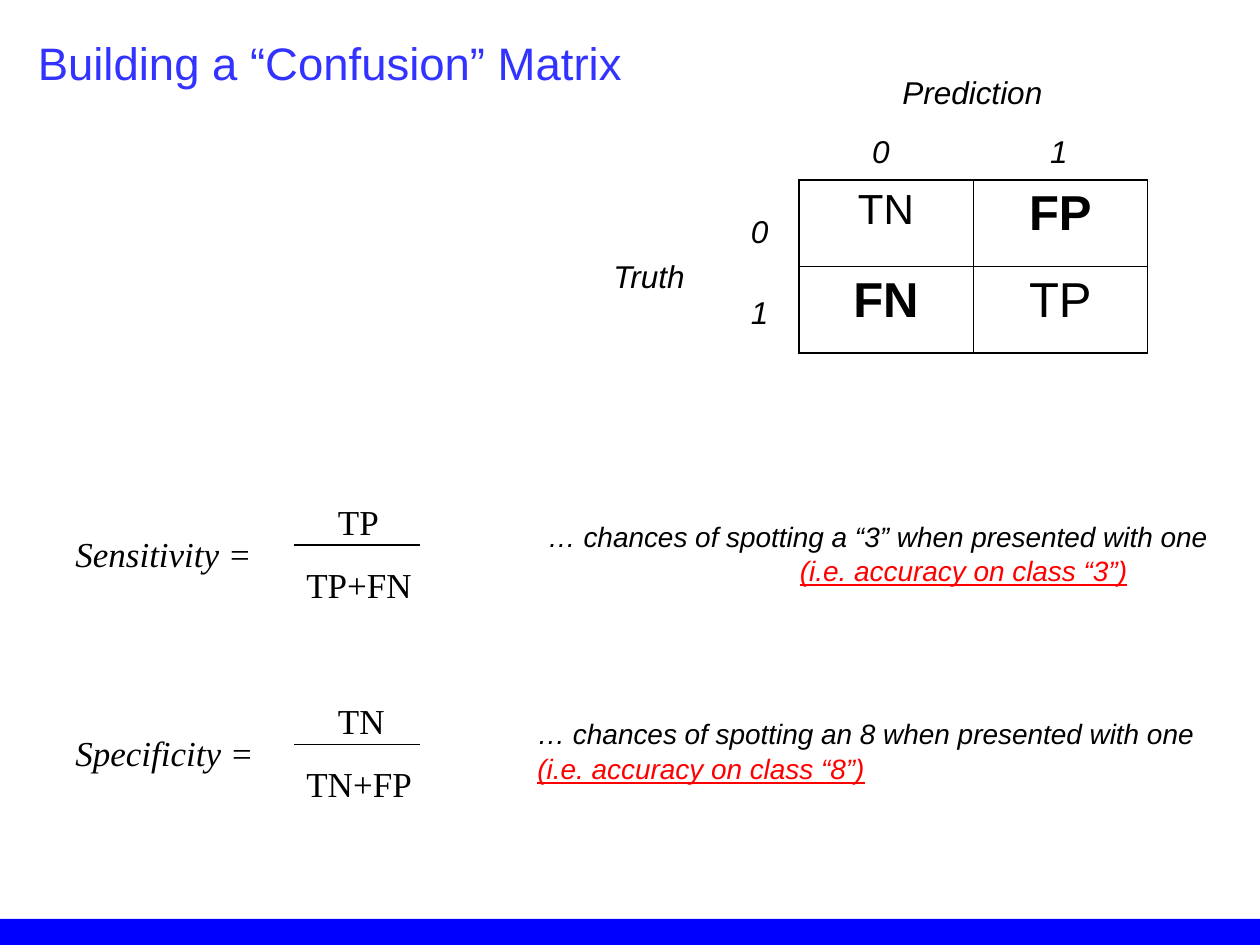
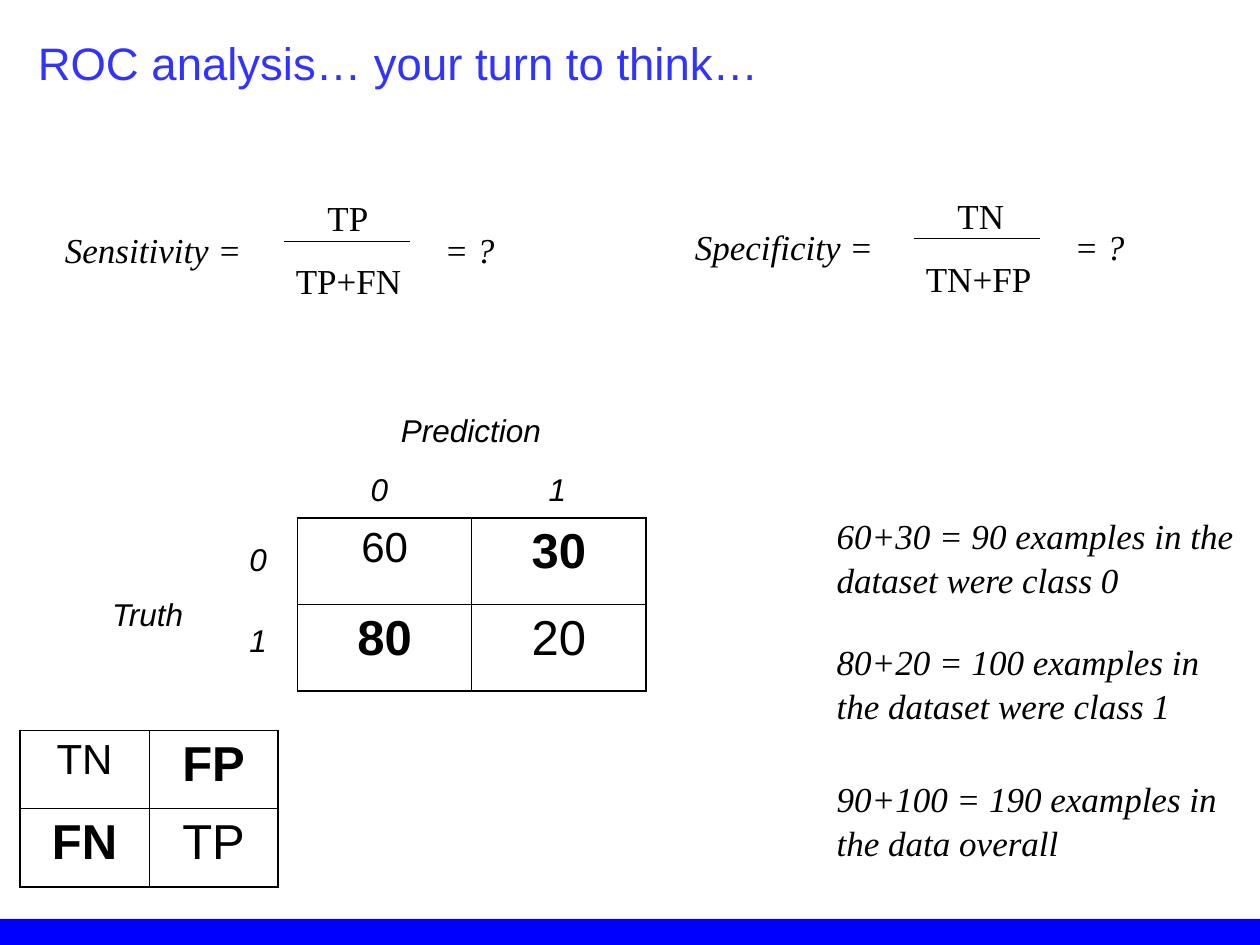
from lxml import etree
from pptx import Presentation
from pptx.dml.color import RGBColor
from pptx.enum import shapes, text
from pptx.oxml import ns
from pptx.util import Pt

BLACK = RGBColor(0, 0, 0)
RED = RGBColor(255, 0, 0)
BAND_BLUE = RGBColor(0, 0, 255)
TITLE_BLUE = RGBColor(0x33, 0x33, 0xFF)
SANS = "Arial"
SERIF = "Times New Roman"
OUTCOMES = (("TN", "FP"), ("FN", "TP"))


class SlideBuilder:
    line_spacing = 1.04
    outer_border = 1.08
    inner_border = 0.45

    def __init__(self):
        self.deck = Presentation()
        self.deck.slide_width = Pt(720)
        self.deck.slide_height = Pt(540)
        self.layout = self.deck.slide_layouts[5]
        self.page = None

    def start(self, title):
        first = self.page is None
        self.page = self.deck.slides.add_slide(self.layout)
        if first:
            self.band()
        box = self.page.shapes.title
        box.left, box.top, box.width, box.height = Pt(14.4), Pt(15), Pt(666), Pt(39)
        frame = self.prepare(box, True)
        self.first_span(frame.paragraphs[0], title, 26, SANS, TITLE_BLUE)

    def band(self):
        band = self.page.shapes.add_shape(
            shapes.MSO_SHAPE.RECTANGLE, Pt(0), Pt(525), Pt(720), Pt(15))
        band.shadow.inherit = False
        band.fill.solid()
        band.fill.fore_color.rgb = BAND_BLUE
        band.line.fill.background()
        self.layout.shapes.element.append(band.element)

    def prepare(self, box, wrap):
        frame = box.text_frame
        frame.word_wrap = wrap
        frame.auto_size = text.MSO_AUTO_SIZE.NONE
        frame.vertical_anchor = text.MSO_ANCHOR.TOP
        return frame

    def first_span(self, para, words, size, font, color=BLACK, **style):
        para.line_spacing = self.line_spacing
        para.alignment = text.PP_ALIGN.LEFT
        self.span(para, words, size, font, color, **style)

    def span(self, para, words, size, font, color=BLACK,
             italic=False, bold=False, underline=False):
        span = para.add_run()
        span.text = words
        span.font.size = Pt(size)
        span.font.name = font
        span.font.color.rgb = color
        span.font.italic = italic
        span.font.bold = bold
        span.font.underline = underline

    def tab_stop(self, para, position):
        stops = etree.SubElement(para._p.get_or_add_pPr(), ns.qn("a:tabLst"))
        etree.SubElement(stops, ns.qn("a:tab"), pos=str(Pt(position)), algn="l")

    def text_box(self, left, top, width, height, words, size=20, font=SERIF,
                 italic=True, wrap=True, tab=None):
        box = self.page.shapes.add_textbox(Pt(left), Pt(top), Pt(width), Pt(height))
        para = self.prepare(box, wrap).paragraphs[0]
        self.first_span(para, words, size, font, italic=italic)
        if tab:
            self.tab_stop(para, tab)
        return box

    def label(self, left, top, width, words, **options):
        return self.text_box(left, top, width, 29, words, 18, SANS, **options)

    def fraction(self, left, top, width, name, numerator, denominator):
        self.text_box(left, top, width, 32, name, tab=217)
        self.text_box(left + 150, top - 18, 60, 32, numerator, italic=False)
        bar = self.page.shapes.add_connector(
            shapes.MSO_CONNECTOR.STRAIGHT,
            Pt(left + 132), Pt(top + 12), Pt(left + 204), Pt(top + 12))
        bar.line.color.rgb = BLACK
        bar.line.width = Pt(0.75)
        etree.SubElement(bar._element.spPr, ns.qn("a:effectLst"))
        self.text_box(left + 132, top + 18, 75, 32, denominator,
                      italic=False, wrap=False)

    def note(self, left, top, width, words, remark, tab=None):
        box = self.text_box(left, top, width, 46, words, 16, SANS, tab=tab)
        para = box.text_frame.paragraphs[0]
        para.add_line_break()
        if tab:
            self.span(para, "\t", 16, SANS)
        self.span(para, remark, 16, SANS, RED, italic=True, underline=True)

    def border(self, cell, side, width):
        line = etree.SubElement(cell._tc.get_or_add_tcPr(), ns.qn("a:ln" + side),
                                w=str(Pt(width)))
        fill = etree.SubElement(line, ns.qn("a:solidFill"))
        etree.SubElement(fill, ns.qn("a:srgbClr"), val=str(BLACK))

    def matrix(self, left, top, cell_width, cell_height, values):
        table = self.page.shapes.add_table(
            2, 2, Pt(left), Pt(top), Pt(2 * cell_width), Pt(2 * cell_height)).table
        table.first_row = table.horz_banding = False
        for r, row in enumerate(values):
            table.rows[r].height = Pt(cell_height)
            table.columns[r].width = Pt(cell_width)
            for c, value in enumerate(row):
                cell = table.cell(r, c)
                outer_sides = "LR"[c] + "TB"[r]
                for side in "LRTB":
                    outer = side in outer_sides
                    self.border(cell, side, self.outer_border if outer else self.inner_border)
                cell.fill.background()
                para = cell.text_frame.paragraphs[0]
                para.alignment = text.PP_ALIGN.CENTER
                self.span(para, value, 24 if r == c == 0 else 28, SANS, bold=r != c)

    def labelled_matrix(self, left, top, values, row_label_offset):
        self.matrix(left, top, 99.6, 49.4, values)
        self.label(left - 113, top + 39.6, 56, "Truth", wrap=False)
        self.label(left + 52, top - 65.5, 94.3, "Prediction", wrap=False)
        self.label(left + 34.75, top - 31.7, 130, "0\t1", tab=101.7)
        rows = self.text_box(left - 34.5, top + row_label_offset, 24.5, 75, "0",
                             18, SANS, wrap=False)
        para = rows.text_frame.add_paragraph()
        self.first_span(para, "1", 18, SANS, italic=True)
        para.space_before = Pt(24)


def main():
    builder = SlideBuilder()

    builder.start("Building a “Confusion” Matrix")
    builder.labelled_matrix(456.5, 103, OUTCOMES, 13.6)
    builder.fraction(36, 299.5, 222, "Sensitivity =", "TP", "TP+FN")
    builder.fraction(36, 413.5, 222, "Specificity =", "TN", "TN+FP")
    builder.note(306, 292.3, 395, "… chances of spotting a “3” when presented with one",
                 "(i.e. accuracy on class “3”)", tab=144)
    builder.note(300, 405.4, 406, "… chances of spotting an 8 when presented with one",
                 "(i.e. accuracy on class “8”)")

    builder.start("ROC analysis… your turn to think…")
    builder.fraction(30, 126, 264, "Sensitivity =\t= ?", "TP", "TP+FN")
    builder.fraction(390, 124.5, 282, "Specificity =\t= ?", "TN", "TN+FP")
    for top, count in (
        (289.5, "60+30 = 90 examples in the dataset were class 0"),
        (361.5, "80+20 = 100 examples in the dataset were class 1"),
        (440, "90+100 = 190 examples in the data overall"),
    ):
        builder.text_box(471, top, 246, 55.5, count)
    builder.labelled_matrix(170, 296, (("60", "30"), ("80", "20")), 8)
    builder.matrix(11.5, 417.5, 73.7, 44.7, OUTCOMES)

    builder.deck.save("out.pptx")


if __name__ == "__main__":
    main()
